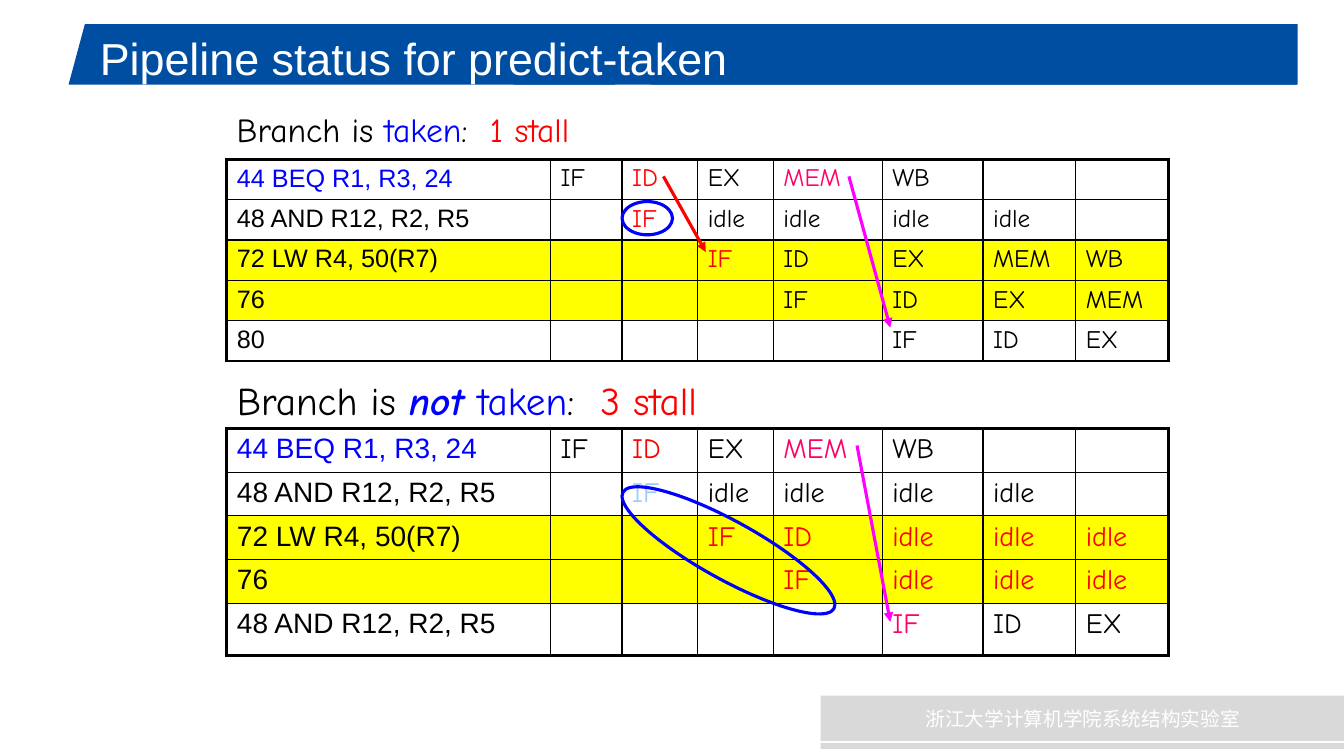
from lxml.etree import SubElement
from pptx import Presentation
from pptx.dml.color import RGBColor
from pptx.enum.shapes import MSO_CONNECTOR, MSO_SHAPE
from pptx.enum.text import MSO_ANCHOR, MSO_AUTO_SIZE, PP_ALIGN
from pptx.oxml.ns import qn
from pptx.util import Inches, Pt

COLORS = {
    "black": "000000", "white": "FFFFFF", "banner": "004EA2", "gray": "D9D9D9",
    "blue": "0000FF", "red": "FF0000", "pink": "FF0066", "magenta": "FF00FF",
    "pale": "99CCFF", "yellow": "FFFF00",
}
LATIN, HAND, CHINESE = "Arial", "Comic Neue", "Noto Sans CJK SC"


def rgb(name):
    return RGBColor.from_string(COLORS[name])


def style_font(font, size, name, color):
    font.size = Pt(size)
    font.name = name
    font.color.rgb = rgb(color)


presentation = Presentation()
presentation.slide_width = Inches(13.33)
presentation.slide_height = Inches(7.5)
slide = presentation.slides.add_slide(presentation.slide_layouts[5])

bands = [
    (MSO_SHAPE.TRAPEZOID, 0.68, 0.24, 5.42, 0.6, "banner", ""),
    (MSO_SHAPE.RECTANGLE, 5.1, 0.24, 7.77, 0.6, "banner", ""),
    (MSO_SHAPE.RECTANGLE, 6.46, 0.79, 6.4, 0.05, "banner", ""),
    (MSO_SHAPE.RECTANGLE, 8.14, 6.9, 5.2, 0.45, "gray", "浙江大学计算机学院系统结构实验室"),
    (MSO_SHAPE.RECTANGLE, 8.14, 7.37, 5.2, 0.06, "gray", ""),
]
for kind, left, top, width, height, color, text in bands:
    band = slide.shapes.add_shape(kind, Inches(left), Inches(top), Inches(width), Inches(height))
    band.shadow.inherit = False
    band.fill.solid()
    band.fill.fore_color.rgb = rgb(color)
    band.line.fill.background()
    if kind == MSO_SHAPE.TRAPEZOID:
        band.adjustments[0] = 0.27
    if text:
        band.text_frame.vertical_anchor = MSO_ANCHOR.MIDDLE
        paragraph = band.text_frame.paragraphs[0]
        paragraph.alignment = PP_ALIGN.CENTER
        run = paragraph.add_run()
        run.text = text
        style_font(run.font, 14, CHINESE, "white")
        SubElement(run.font._element, qn("a:ea"), typeface=CHINESE)

title = slide.shapes.title
title.left, title.top = Inches(0.89), Inches(0.25)
title.width, title.height = Inches(11.08), Inches(1)
title.text_frame.text = "Pipeline status for predict-taken"
title.text_frame.vertical_anchor = MSO_ANCHOR.TOP
title.text_frame.auto_size = MSO_AUTO_SIZE.NONE
title.text_frame.paragraphs[0].alignment = PP_ALIGN.LEFT
style_font(title.text_frame.paragraphs[0].font, 32, LATIN, "white")
title.element.getparent().append(title.element)

headings = [
    (1.08, 9.33, 0.42, 24, 0.9, [
        ("Branch is ", "black"), ("taken", "blue"), (":  ", "black"), ("1 stall", "red")]),
    (3.68, 6.25, 0.57, 28, 1.0, [
        ("Branch is ", "black"), ("not ", "blue"), ("taken", "blue"),
        (":  ", "black"), ("3 stall", "red")]),
]
for top, width, height, size, spacing, pieces in headings:
    heading = slide.shapes.add_textbox(Inches(2.25), Inches(top), Inches(width), Inches(height))
    heading.text_frame.word_wrap = True
    paragraph = heading.text_frame.paragraphs[0]
    paragraph.line_spacing = spacing
    for text, color in pieces:
        run = paragraph.add_run()
        run.text = text
        style_font(run.font, size, HAND, color)
        if text == "not ":
            run.font.bold = run.font.italic = True

column_widths = [3.21, 0.71, 0.75, 0.75, 1.08, 1, 0.92, 0.92]
tables = [
    (1.58, 18, [0.39] * 5, [
        "44 BEQ R1, R3, 24:blue|IF|ID:red|EX|MEM:pink|WB||",
        "48 AND R12, R2, R5||IF:red|idle|idle|idle|idle|",
        "72 LW R4, 50(R7)|||IF:red|ID|EX|MEM|WB",
        "76||||IF|ID|EX|MEM",
        "80|||||IF|ID|EX",
    ]),
    (4.25, 20, [0.43] * 4 + [0.52], [
        "44 BEQ R1, R3, 24:blue|IF|ID:red|EX|MEM:pink|WB||",
        "48 AND R12, R2, R5||IF:pale|idle|idle|idle|idle|",
        "72 LW R4, 50(R7)|||IF:red|ID:red|idle:red|idle:red|idle:red",
        "76||||IF:red|idle:red|idle:red|idle:red",
        "48 AND R12, R2, R5|||||IF:pink|ID|EX",
    ]),
]
for top, size, row_heights, lines in tables:
    last_row, last_column = len(lines) - 1, len(column_widths) - 1
    frame = slide.shapes.add_table(
        len(lines), len(column_widths), Inches(2.25), Inches(top),
        Inches(sum(column_widths)), Inches(sum(row_heights)))
    table = frame.table
    table.first_row = table.horz_banding = False
    for column, width in zip(table.columns, column_widths):
        column.width = Inches(width)
    for r, (line, height) in enumerate(zip(lines, row_heights)):
        table.rows[r].height = Inches(height)
        for c, entry in enumerate(line.split("|")):
            cell = table.cell(r, c)
            text, _, color = entry.partition(":")
            cell.text = text
            style_font(cell.text_frame.paragraphs[0].font, size if text else 18,
                       HAND if c else LATIN, color or "black")
            properties = cell._tc.get_or_add_tcPr()
            edges = [("L", c == 0), ("R", c == last_column), ("T", r == 0), ("B", r == last_row)]
            for side, outer in edges:
                border = SubElement(properties, qn(f"a:ln{side}"), w=str(Pt(2.25 if outer else 1)))
                fill = SubElement(border, qn("a:solidFill"))
                SubElement(fill, qn("a:srgbClr"), val=COLORS["black"])
            if r in (2, 3):
                cell.fill.solid()
                cell.fill.fore_color.rgb = rgb("yellow")
            else:
                cell.fill.background()

arrows = [
    (6.58, 1.75, 7, 2.5, "red"),
    (8.42, 1.75, 8.83, 3.25, "magenta"),
    (8.5, 4.42, 8.83, 6.17, "magenta"),
]
for x1, y1, x2, y2, color in arrows:
    arrow = slide.shapes.add_connector(
        MSO_CONNECTOR.STRAIGHT, Inches(x1), Inches(y1), Inches(x2), Inches(y2))
    arrow.line.color.rgb = rgb(color)
    arrow.line.width = Pt(2.25)
    SubElement(arrow.line._get_or_add_ln(), qn("a:tailEnd"), type="triangle")
    SubElement(arrow.element.spPr, qn("a:effectLst"))

ovals = [(6.03, 5.17, 2.39, 0.58, 28.9), (6.17, 2, 0.5, 0.33, 0)]
for left, top, width, height, rotation in ovals:
    oval = slide.shapes.add_shape(
        MSO_SHAPE.OVAL, Inches(left), Inches(top), Inches(width), Inches(height))
    oval.rotation = rotation
    oval.shadow.inherit = False
    oval.fill.background()
    oval.line.color.rgb = rgb("blue")
    oval.line.width = Pt(2.25)

presentation.save("out.pptx")
